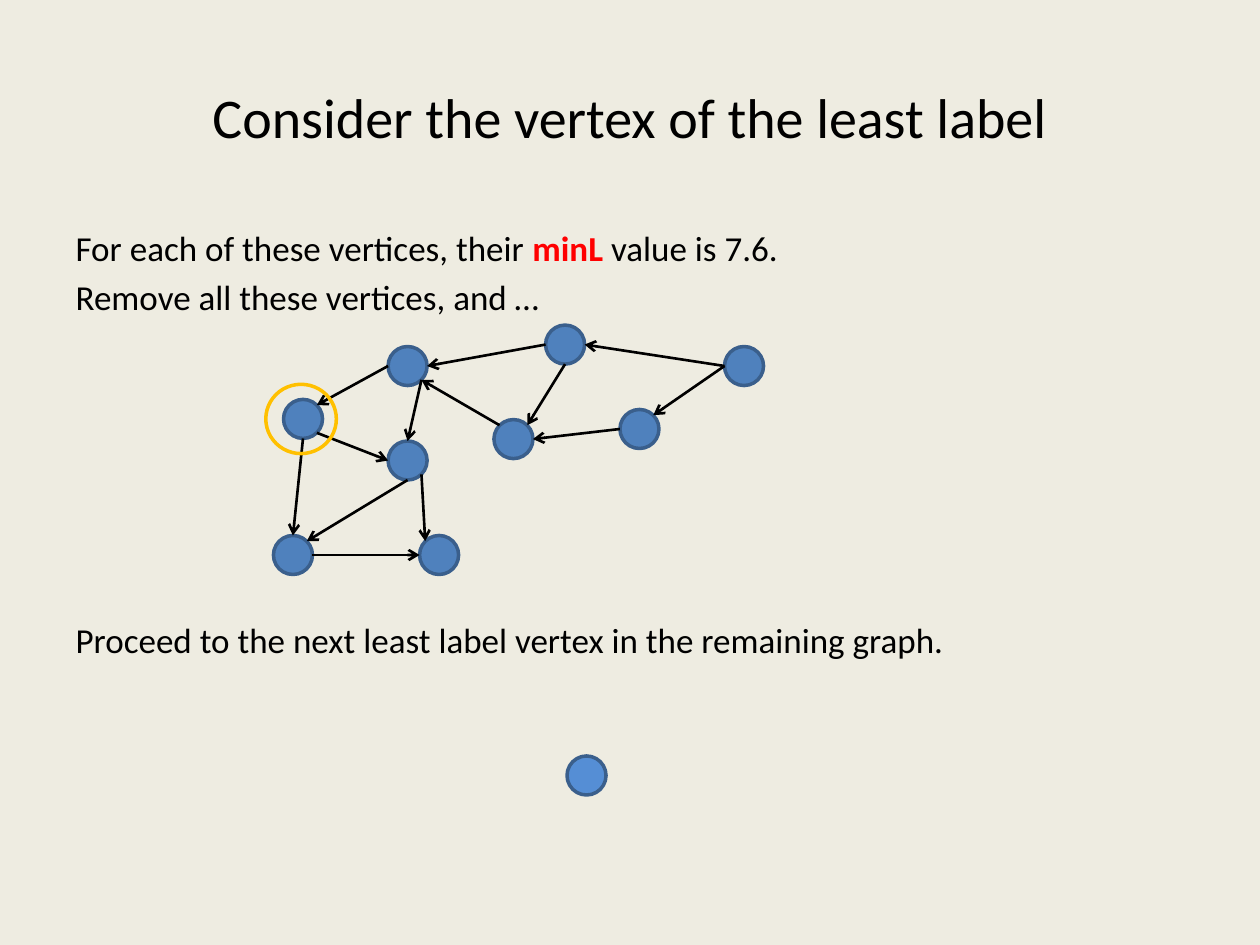
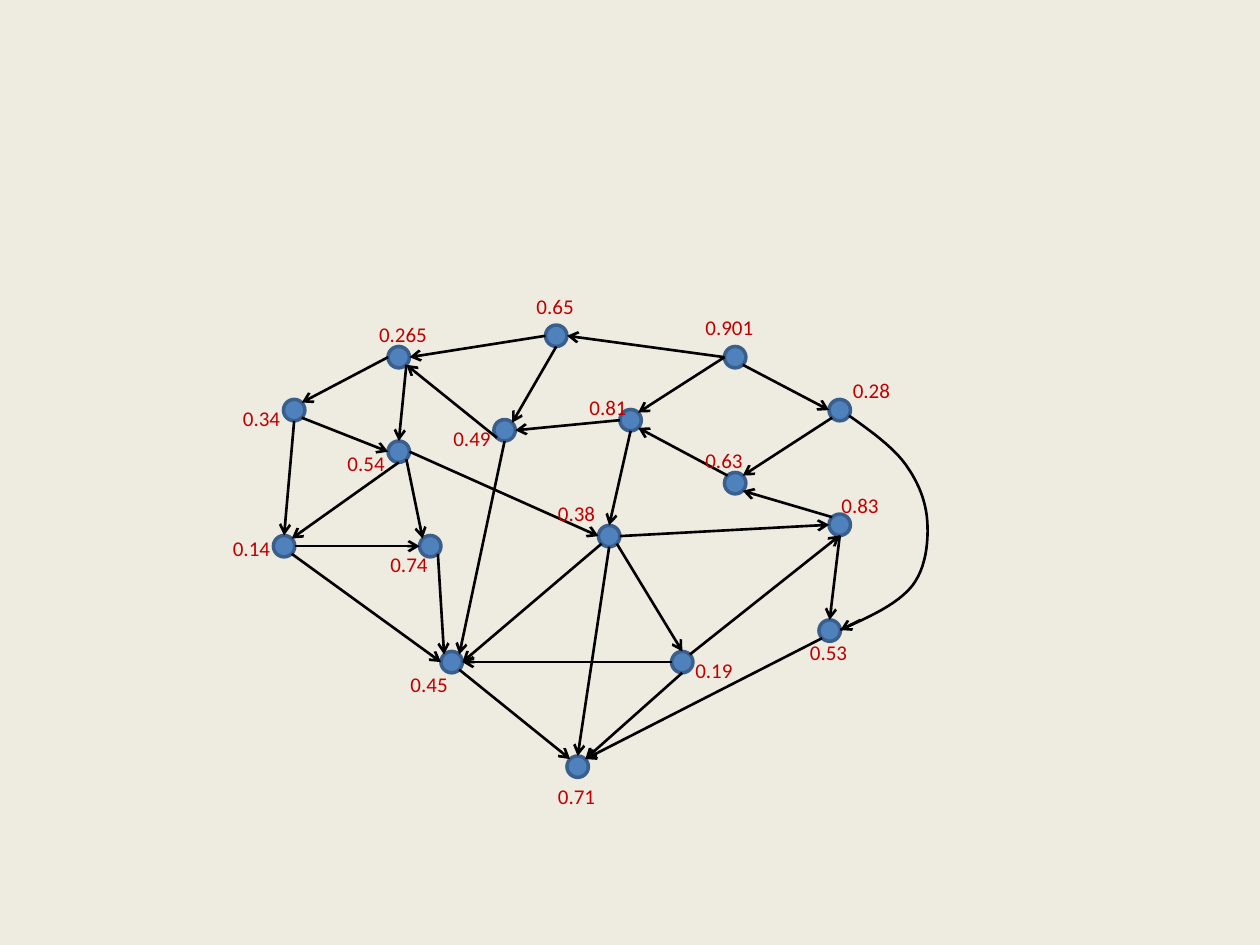
import dataclasses

import lxml.etree
import pptx
import pptx.dml.color
import pptx.enum.shapes
import pptx.enum.text
import pptx.oxml.ns
import pptx.util

Inches = pptx.util.Inches
Pt = pptx.util.Pt
RGB = pptx.dml.color.RGBColor.from_string
qn = pptx.oxml.ns.qn
OVAL = pptx.enum.shapes.MSO_SHAPE.OVAL


@dataclasses.dataclass(frozen=True)
class Theme:
    font: str = "Calibri"
    background: str = "EEECE1"
    ink: str = "000000"
    accent: str = "FF0000"
    label: str = "C00000"
    vertex: str = "4F81BD"
    last_vertex: str = "558ED5"
    outline: str = "3A5F8C"
    ring: str = "FFC000"
    title_size: int = 32
    body_size: int = 20
    label_size: int = 12
    arrow_width: float = 1.5
    outline_width: float = 2


THEME = Theme()


def write(para, text, size=THEME.body_size, color=THEME.ink, bold=False):
    span = para.add_run()
    span.text = text
    span.font.name = THEME.font
    span.font.size = Pt(size)
    span.font.bold = bold
    span.font.color.rgb = RGB(color)


def draw_arrow(page, start, end):
    """Draw a straight arrow between two points given in inches."""
    arrow = page.shapes.add_connector(
        pptx.enum.shapes.MSO_CONNECTOR.STRAIGHT, *map(Inches, (*start, *end)))
    arrow.line.color.rgb = RGB(THEME.ink)
    arrow.line.width = Pt(THEME.arrow_width)
    lxml.etree.SubElement(arrow.line._get_or_add_ln(), qn("a:tailEnd"), type="arrow")
    lxml.etree.SubElement(arrow._element.spPr, qn("a:effectLst"))


# Label: left and top of the vertex, left and top of its label
VERTICES = {
    "0.34": (2.25, 3.17, 1.83, 3.17),
    "0.265": (3.08, 2.75, 2.91, 2.5),
    "0.65": (4.33, 2.58, 4.16, 2.28),
    "0.74": (3.33, 4.25, 3, 4.33),
    "0.54": (3.08, 3.5, 2.66, 3.53),
    "0.14": (2.17, 4.25, 1.75, 4.2),
    "0.49": (3.92, 3.33, 3.5, 3.33),
    "0.81": (4.92, 3.25, 4.58, 3.08),
    "0.901": (5.75, 2.75, 5.5, 2.45),
    "0.71": (4.5, 6, 4.33, 6.17),
    "0.38": (4.75, 4.17, 4.33, 3.92),
    "0.83": (6.58, 4.08, 6.58, 3.86),
    "0.28": (6.58, 3.17, 6.67, 2.95),
    "0.63": (5.75, 3.75, 5.5, 3.5),
    "0.45": (3.5, 5.17, 3.16, 5.28),
    "0.19": (5.33, 5.17, 5.42, 5.17),
    "0.53": (6.5, 4.92, 6.33, 5.03),
}
REMOVED_GRAPH = list(VERTICES)[:10]

# Where an arrow touches a vertex, in radii from its centre
DIAGONAL = 0.71
SITES = {
    "N": (0, -1), "S": (0, 1), "W": (-1, 0), "E": (1, 0),
    "NW": (-DIAGONAL, -DIAGONAL), "NE": (DIAGONAL, -DIAGONAL),
    "SW": (-DIAGONAL, DIAGONAL), "SE": (DIAGONAL, DIAGONAL),
}

# Start vertex and site, end vertex and site
SHARED_EDGES = [
    "0.265 W 0.34 NE", "0.65 W 0.265 E", "0.901 W 0.81 NE", "0.901 W 0.65 E",
    "0.81 W 0.49 E", "0.65 S 0.49 NE", "0.265 SE 0.54 N", "0.14 E 0.74 W",
    "0.34 SE 0.54 W", "0.34 S 0.14 N", "0.54 SE 0.74 NW", "0.54 S 0.14 NE",
]
REMOVED_EDGES = SHARED_EDGES + ["0.49 NW 0.265 SE"]
FULL_EDGES = SHARED_EDGES + [
    "0.49 SW 0.265 SE", "0.901 SE 0.28 W", "0.28 SW 0.63 NE", "0.63 NW 0.81 SE",
    "0.81 S 0.38 N", "0.19 NE 0.83 S", "0.38 SE 0.19 N", "0.38 E 0.83 W",
    "0.83 NW 0.63 SE", "0.49 S 0.45 NE", "0.38 SW 0.45 E", "0.19 W 0.45 E",
    "0.53 SW 0.71 NE", "0.83 S 0.53 N", "0.19 S 0.71 NE", "0.45 SE 0.71 NW",
    "0.54 E 0.38 W", "0.74 SE 0.45 NW", "0.38 S 0.71 N", "0.14 SE 0.45 W",
]

deck = pptx.Presentation()
deck.slide_width, deck.slide_height = Inches(10), Inches(7.5)
deck.slide_master.background.fill.solid()
deck.slide_master.background.fill.fore_color.rgb = RGB(THEME.background)
least_page = deck.slides.add_slide(deck.slide_layouts[1])
graph_page = deck.slides.add_slide(deck.slide_layouts[6])

# Title and body of the first slide
title, body = least_page.placeholders
for holder, top, height, anchor in (
        (title, 0.3, 1.25, pptx.enum.text.MSO_ANCHOR.MIDDLE),
        (body, 1.75, 4.95, pptx.enum.text.MSO_ANCHOR.TOP)):
    holder.left, holder.top = Inches(0.5), Inches(top)
    holder.width, holder.height = Inches(9), Inches(height)
    holder.text_frame.vertical_anchor = anchor
    holder.text_frame.auto_size = pptx.enum.text.MSO_AUTO_SIZE.NONE

heading = title.text_frame.paragraphs[0]
heading.alignment = pptx.enum.text.PP_ALIGN.CENTER
write(heading, "Consider the vertex of the least label", size=THEME.title_size)

minimum, removal, proceed = (
    body.text_frame.paragraphs[0],
    body.text_frame.add_paragraph(),
    body.text_frame.add_paragraph(),
)
write(minimum, "For each of these vertices, their ")
write(minimum, "minL", color=THEME.accent, bold=True)
write(minimum, " value is 7.6.")
write(removal, "Remove all these vertices, and …")
write(proceed, "Proceed to the next least label vertex in the remaining graph.")
for para, gap in ((minimum, 4), (removal, 4), (proceed, 172)):
    para.space_before = Pt(gap)
    properties = para._p.get_or_add_pPr()
    properties.set("marL", "0")
    properties.set("indent", "0")
    lxml.etree.SubElement(properties, qn("a:buNone"))

# Vertices and arrows of both graphs
for page, diameter, names, edges in (
        (least_page, 0.31, REMOVED_GRAPH, REMOVED_EDGES),
        (graph_page, 0.17, VERTICES, FULL_EDGES)):
    for name in names:
        left, top = VERTICES[name][:2]
        vertex = page.shapes.add_shape(
            OVAL, *map(Inches, (left, top, diameter, diameter)))
        vertex.shadow.inherit = False
        vertex.fill.solid()
        is_last = page is least_page and name == "0.71"
        vertex.fill.fore_color.rgb = RGB(THEME.last_vertex if is_last else THEME.vertex)
        vertex.line.color.rgb = RGB(THEME.outline)
        vertex.line.width = Pt(THEME.outline_width)
    radius = diameter / 2
    for edge in edges:
        start, start_site, end, end_site = edge.split()
        points = [
            [corner + radius * (1 + offset)
             for corner, offset in zip(VERTICES[name][:2], SITES[site])]
            for name, site in ((start, start_site), (end, end_site))
        ]
        draw_arrow(page, *points)

# Ring around the least vertex
ring = least_page.shapes.add_shape(OVAL, *map(Inches, (2.11, 3.05, 0.56, 0.55)))
ring.shadow.inherit = False
ring.fill.background()
ring.line.color.rgb = RGB(THEME.ring)
ring.line.width = Pt(THEME.outline_width)

# Curved arrow from 0.28 to 0.53, as joined cubic Bézier pieces
BEND = [(6.74, 3.3), (6.91, 3.42), (7.09, 3.55), (7.19, 3.69), (7.29, 3.83),
        (7.35, 3.98), (7.36, 4.14), (7.37, 4.3), (7.35, 4.51), (7.24, 4.65),
        (7.12, 4.8), (6.89, 4.9), (6.67, 5)]
STEPS = 12
bend_points = []
for first in range(0, len(BEND) - 1, 3):
    for step in range(1, STEPS + 1):
        t = step / STEPS
        weights = ((1 - t) ** 3, 3 * t * (1 - t) ** 2, 3 * t ** 2 * (1 - t), t ** 3)
        bend_points.append([
            Inches(sum(weight * point[axis]
                       for weight, point in zip(weights, BEND[first:first + 4])))
            for axis in (0, 1)
        ])
builder = graph_page.shapes.build_freeform(*map(Inches, BEND[0]))
builder.add_line_segments(bend_points, close=False)
bend = builder.convert_to_shape()
bend.shadow.inherit = False
bend.fill.background()
bend.line.color.rgb = RGB(THEME.ink)
bend.line.width = Pt(THEME.arrow_width)
draw_arrow(graph_page, (6.83, 4.92), BEND[-1])

# Vertex labels
for name, (_, _, left, top) in VERTICES.items():
    width = 0.59 if len(name) > 4 else 0.5
    box = graph_page.shapes.add_textbox(*map(Inches, (left, top, width, 0.3)))
    box.text_frame.word_wrap = False
    box.text_frame.auto_size = pptx.enum.text.MSO_AUTO_SIZE.SHAPE_TO_FIT_TEXT
    write(box.text_frame.paragraphs[0], name, size=THEME.label_size, color=THEME.label)

deck.save("out.pptx")
